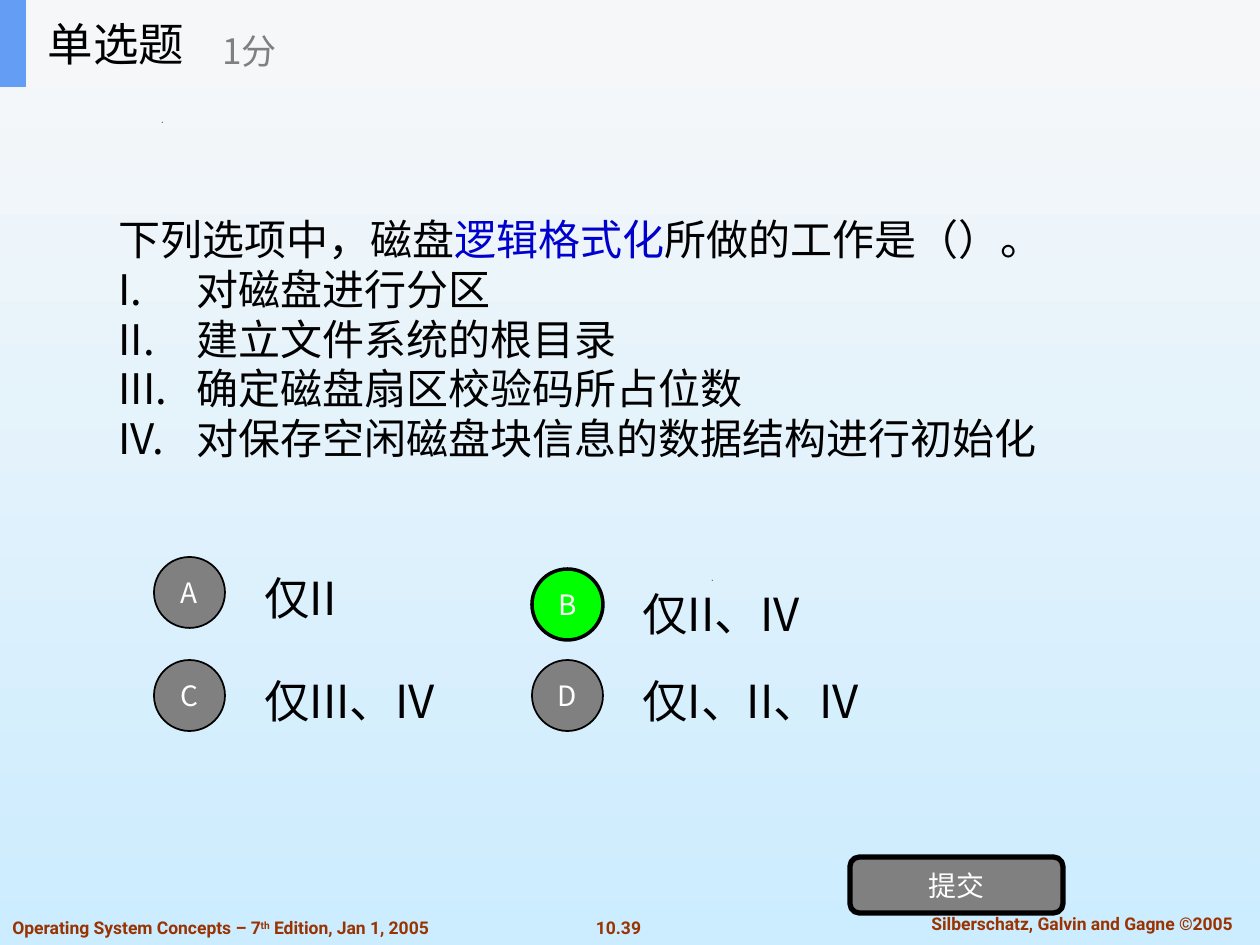
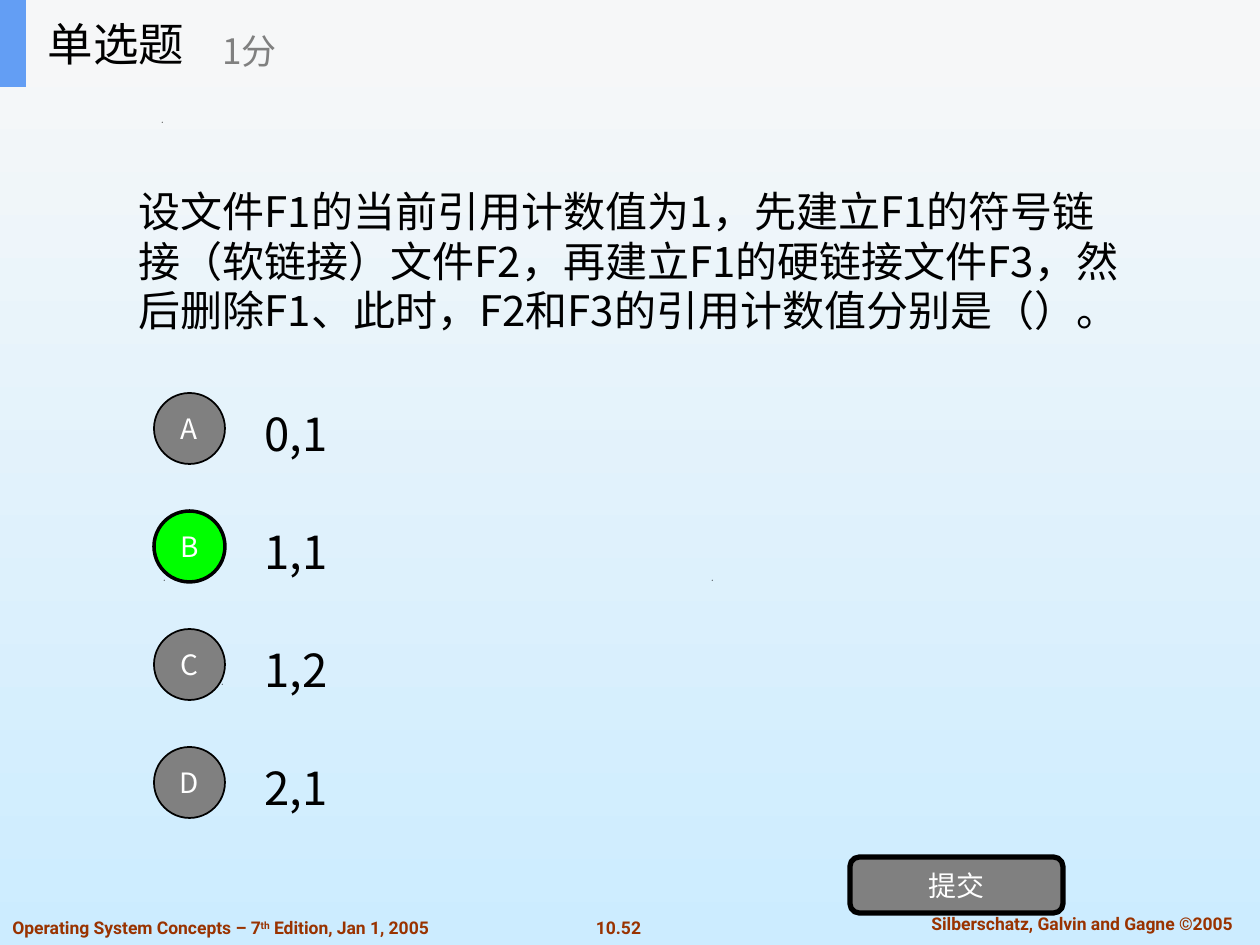
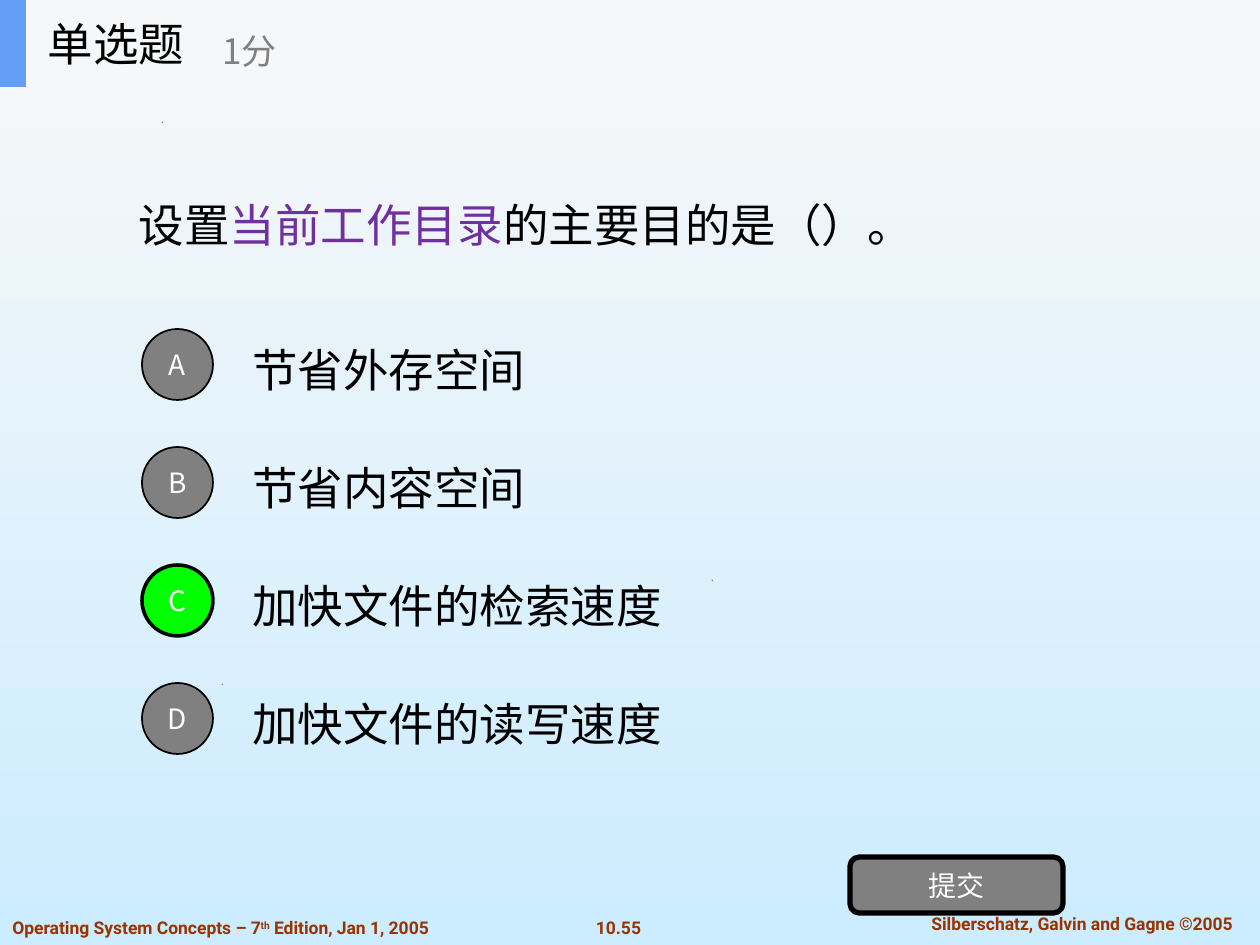
import pptx
import pptx.util
import pptx.dml.color
import pptx.enum.shapes
import pptx.enum.text
import pptx.oxml.ns
from dataclasses import dataclass
from lxml import etree

PX = 914400 // 126
SHAPE = pptx.enum.shapes.MSO_SHAPE
ALIGN = pptx.enum.text.PP_ALIGN
ANCHOR = pptx.enum.text.MSO_ANCHOR
qn = pptx.oxml.ns.qn


@dataclass(frozen=True)
class Theme:
    sans: str = "Noto Sans CJK SC"
    foot: str = "Roboto"
    ink: str = "000000"
    white: str = "FFFFFF"
    grey: str = "808080"
    right: str = "00FF00"
    band: str = "F6F7F8"
    tab: str = "639EF4"
    rust: str = "993300"
    blue: str = "0000CC"
    plum: str = "7030A0"
    sky: tuple = ("F8F8F8", "CCECFF")
    big: int = 26
    body: int = 24
    score: int = 20
    mark: int = 16
    small: int = 10


T = Theme()


def rgb(code):
    return pptx.dml.color.RGBColor.from_string(code)


def px(*nums):
    return [pptx.util.Emu(n * PX) for n in nums]


def style(para, size, color=T.ink, face=T.sans, bold=False, align=ALIGN.LEFT, lead=None):
    para.alignment = align
    para.space_before = pptx.util.Pt(0)
    if lead:
        para.line_spacing = pptx.util.Pt(lead)
    font = para.font
    font.size, font.bold, font.name = pptx.util.Pt(size), bold, face
    font.color.rgb = rgb(color)
    etree.SubElement(font._rPr, qn("a:ea")).set("typeface", face)


def frame(shape, box=None, anchor=ANCHOR.MIDDLE):
    """Place a text holder if a box is given, and return its text frame."""
    if box:
        shape.left, shape.top, shape.width, shape.height = px(*box)
    text = shape.text_frame
    text.word_wrap = True
    text.auto_size = pptx.enum.text.MSO_AUTO_SIZE.NONE
    text.vertical_anchor = anchor
    return text


def label(slide, box, words, size, anchor=ANCHOR.MIDDLE, **look):
    text = frame(slide.shapes.add_textbox(*px(*box)), anchor=anchor)
    para = text.paragraphs[0]
    para.text = words
    style(para, size, **look)
    return para


def block(slide, kind, box, fill, line=0, words=""):
    """Draw a filled shape, outlined if line is set, with a centred mark."""
    shape = slide.shapes.add_shape(kind, *px(*box))
    shape.shadow.inherit = False
    shape.fill.solid()
    shape.fill.fore_color.rgb = rgb(fill)
    if line:
        shape.line.color.rgb = rgb(T.ink)
        shape.line.width = pptx.util.Pt(line)
    else:
        shape.line.fill.background()
    if words:
        text = frame(shape)
        text.margin_left = text.margin_right = 0
        text.paragraphs[0].text = words
        style(text.paragraphs[0], T.mark, T.white, align=ALIGN.CENTER)


def specks(slide):
    """Scatter the tiny ink dots of the template."""
    for x, y in ((222, 684), (164, 580), (712, 580), (162, 122)):
        pen = slide.shapes.build_freeform(x, y, scale=PX)
        pen.add_line_segments([(x + 1, y), (x, y + 1)], close=True)
        dot = pen.convert_to_shape()
        dot.shadow.inherit = False
        dot.fill.solid()
        dot.fill.fore_color.rgb = rgb(T.ink)
        dot.line.fill.background()


def footer(slide, page):
    look = dict(color=T.rust, face=T.foot, bold=True, anchor=ANCHOR.TOP)
    left = label(slide, (0, 911, 465, 34), "Operating System Concepts – 7", T.small, **look)
    for words, base in (("th", "30000"), (" Edition, Jan 1, 2005", "0")):
        run = left.add_run()
        run.text = words
        run.font._rPr.set("baseline", base)
    look["align"] = ALIGN.CENTER
    label(slide, (573, 911, 91, 34), page, T.small, **look)
    label(slide, (895, 907, 374, 34), "Silberschatz, Galvin and Gagne ©2005", T.small, **look)


def header(slide):
    block(slide, SHAPE.RECTANGLE, (0, 0, 1260, 87), T.band)
    block(slide, SHAPE.RECTANGLE, (0, 0, 26, 87), T.tab)
    title = slide.shapes.title
    text = frame(title, (35, 0, 262, 87))
    text.paragraphs[0].text = "单选题"
    style(text.paragraphs[0], T.big)
    slide.shapes._spTree.append(title._element)  # above the band
    label(slide, (210, 15, 315, 71), "1分", T.score, color=T.grey)


def ask(slide, box, runs, size=T.body, items=()):
    """Fill the body with the question and its numbered statements."""
    text = frame(slide.placeholders[1], box)
    for n, parts in enumerate([runs] + [[(item, None)] for item in items]):
        para = text.add_paragraph() if n else text.paragraphs[0]
        props = para._p.get_or_add_pPr()
        hang = 78 * PX if n else 0
        props.set("marL", str(hang))
        props.set("indent", str(-hang))
        if n:
            etree.SubElement(props, qn("a:buFont")).set("typeface", "+mj-lt")
            etree.SubElement(props, qn("a:buAutoNum")).set("type", "romanUcPeriod")
        else:
            etree.SubElement(props, qn("a:buNone"))
        style(para, size, lead=28.5)
        for words, color in parts:
            run = para.add_run()
            run.text = words
            if color:
                run.font.color.rgb = rgb(color)


def choice(slide, x, y, letter, words, right=False, width=882, drop=-4):
    fill, line = (T.right, 2) if right else (T.grey, 1)
    label(slide, (x + 98, y + drop, width, 88), words, T.big, lead=32)
    block(slide, SHAPE.OVAL, (x, y, 71, 71), fill, line, letter)


def column(slide, x, y, answers, right):
    for n, (letter, words) in enumerate(zip("ABCD", answers)):
        choice(slide, x, y + 118 * n, letter, words, letter == right)


def start(deck, page):
    slide = deck.slides.add_slide(deck.slide_layouts[1])
    specks(slide)
    footer(slide, page)
    header(slide)
    block(slide, SHAPE.ROUNDED_RECTANGLE, (850, 857, 213, 56), T.grey, 3, "提交")
    return slide


def disk(deck):
    slide = start(deck, "10.39")
    ask(slide, (106, 191, 1082, 295),
        [("下列选项中，磁盘", None), ("逻辑格式化", T.blue), ("所做的工作是（）。", None)],
        items=("对磁盘进行分区", "建立文件系统的根目录", "确定磁盘扇区校验码所占位数",
               "对保存空闲磁盘块信息的数据结构进行初始化"))
    choice(slide, 154, 557, "A", "仅II", width=305)
    choice(slide, 532, 569, "B", "仅II、IV", True, width=222, drop=0)
    choice(slide, 154, 660, "C", "仅III、IV", width=243)
    choice(slide, 532, 660, "D", "仅I、II、IV", width=273)


def links(deck):
    slide = start(deck, "10.52")
    ask(slide, (126, 113, 1008, 295),
        [("设文件F1的当前引用计数值为1，先建立F1的符号链接（软链接）文件F2，"
          "再建立F1的硬链接文件F3，然后删除F1、此时，F2和F3的引用计数值分别是（）。", None)])
    column(slide, 154, 393, ("0,1", "1,1", "1,2", "2,1"), "B")


def folder(deck):
    slide = start(deck, "10.55")
    ask(slide, (126, 151, 1008, 152),
        [("设置", None), ("当前工作目录", T.plum), ("的主要目的是（）。", None)], T.big)
    column(slide, 142, 329,
           ("节省外存空间", "节省内容空间", "加快文件的检索速度", "加快文件的读写速度"), "C")


def main():
    deck = pptx.Presentation()
    deck.slide_width, deck.slide_height = px(1260, 945)
    fill = deck.slide_master.background.fill
    fill.gradient()
    fill.gradient_angle = 270
    for stop, color, spot in zip(fill.gradient_stops, T.sky, (0, 1)):
        stop.color.rgb = rgb(color)
        stop.position = spot
    for make in (disk, links, folder):
        make(deck)
    deck.save("out.pptx")


if __name__ == "__main__":
    main()
